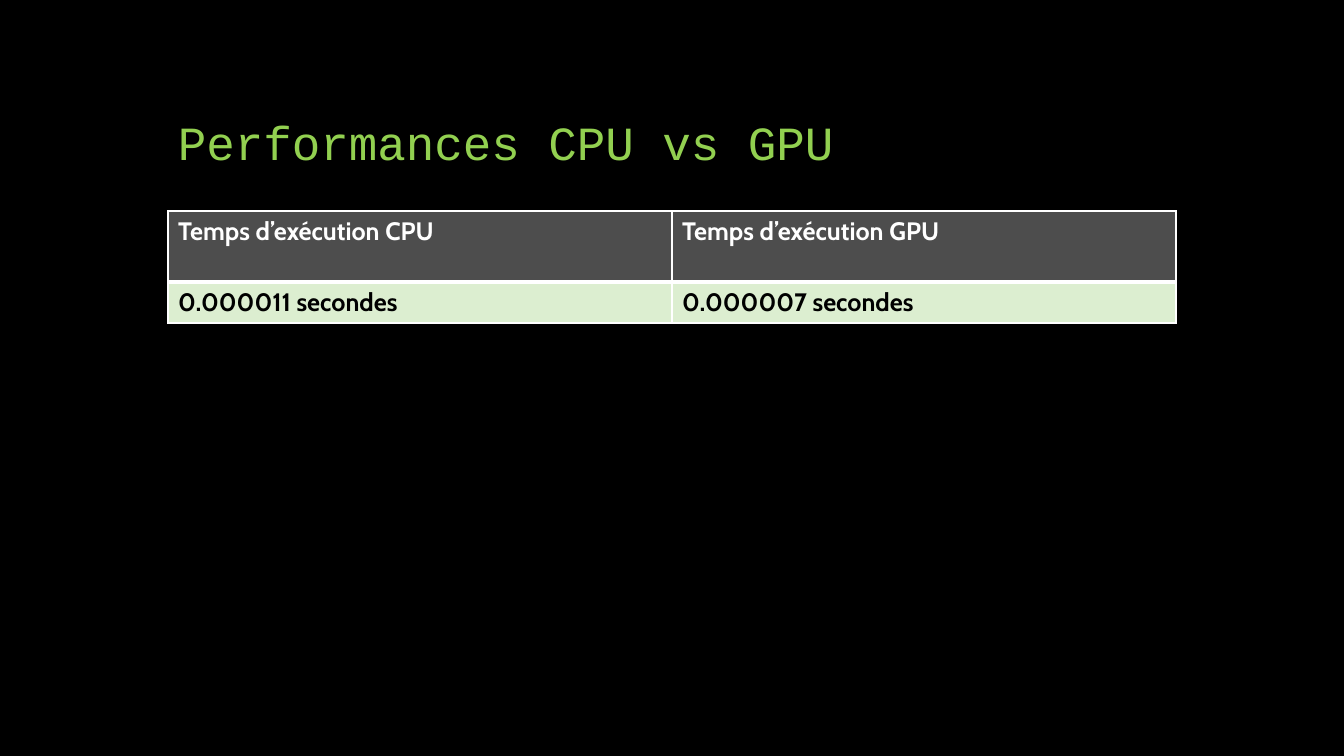
import pptx
import pptx.util
import pptx.dml.color
import pptx.enum.text
import pptx.oxml.ns
import lxml.etree

RGBColor = pptx.dml.color.RGBColor
BLACK = RGBColor(0x00, 0x00, 0x00)
WHITE = RGBColor(0xFF, 0xFF, 0xFF)
GREEN = RGBColor(0x92, 0xD0, 0x50)
HEADER_GRAY = RGBColor(0x4D, 0x4D, 0x4D)
PALE_GREEN = RGBColor(0xDC, 0xEE, 0xD0)

SLIDE_WIDTH, SLIDE_HEIGHT = 1344, 756
EMU_PER_PX = 12192000 / SLIDE_WIDTH

TIMES = [
    ["Temps d’exécution CPU", "Temps d’exécution GPU"],
    ["0.000011 secondes", "0.000007 secondes"],
]


def px(length):
    return pptx.util.Emu(round(length * EMU_PER_PX))


def add_run(paragraph, text, font_name, size, color, bold=False):
    run = paragraph.add_run()
    run.text = text
    run.font.name = font_name
    run.font.size = pptx.util.Pt(size)
    run.font.bold = bold
    run.font.color.rgb = color


def set_borders(cell, widths):
    """Draw white cell borders; widths are points for left, right, top, bottom."""
    properties = cell._tc.get_or_add_tcPr()
    qn = pptx.oxml.ns.qn
    for index, (side, width) in enumerate(zip("LRTB", widths)):
        line = lxml.etree.Element(qn(f"a:ln{side}"), w=str(pptx.util.Pt(width)))
        fill = lxml.etree.SubElement(line, qn("a:solidFill"))
        lxml.etree.SubElement(fill, qn("a:srgbClr"), val=str(WHITE))
        properties.insert(index, line)


def add_title(slide, left, top, width, height):
    frame = slide.shapes.add_textbox(px(left), px(top), px(width), px(height)).text_frame
    frame.word_wrap = True
    frame.vertical_anchor = pptx.enum.text.MSO_ANCHOR.BOTTOM
    paragraph = frame.paragraphs[0]
    paragraph.line_spacing = 0.9
    add_run(paragraph, "Performances CPU vs GPU", "Courier New", 34, GREEN)


def add_times_table(slide, left, top, width, row_heights):
    shape = slide.shapes.add_table(len(TIMES), len(TIMES[0]), px(left), px(top),
                                   px(width), px(sum(row_heights)))
    table = shape.table
    for row, height in zip(table.rows, row_heights):
        row.height = px(height)

    # The header row is dark, with a thick rule below it
    row_styles = [
        (HEADER_GRAY, WHITE, (1, 1, 1, 3)),
        (PALE_GREEN, BLACK, (1, 1, 3, 1)),
    ]
    for row, texts, (fill, color, borders) in zip(table.rows, TIMES, row_styles):
        for cell, text in zip(row.cells, texts):
            cell.fill.solid()
            cell.fill.fore_color.rgb = fill
            set_borders(cell, borders)
            add_run(cell.text_frame.paragraphs[0], text, "Cabin", 18, color, bold=True)


def main():
    presentation = pptx.Presentation()
    presentation.slide_width = px(SLIDE_WIDTH)
    presentation.slide_height = px(SLIDE_HEIGHT)
    slide = presentation.slides.add_slide(presentation.slide_layouts[6])
    slide.background.fill.solid()
    slide.background.fill.fore_color.rgb = BLACK

    add_title(slide, 168, 50, 1008, 126)
    add_times_table(slide, 168, 211, 1008, [71, 41])
    presentation.save("out.pptx")


if __name__ == "__main__":
    main()
